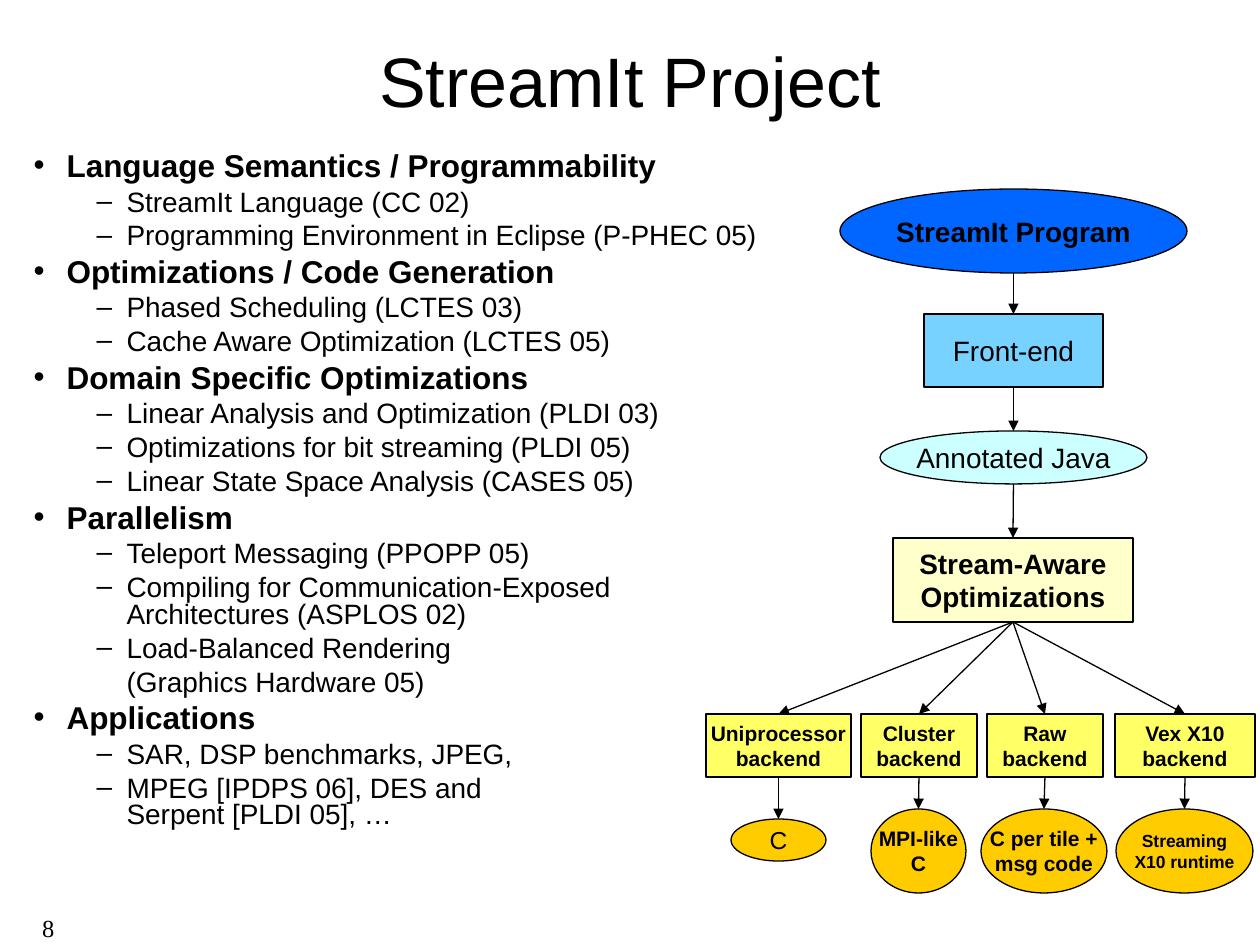
from copy import deepcopy
from dataclasses import dataclass

from lxml import etree
from pptx import Presentation
from pptx.dml.color import RGBColor
from pptx.enum import shapes, text
from pptx.oxml import ns
from pptx import util as u

EMU_PER_PX = 914400 / 126
FONT = "Arial"
BLACK = RGBColor(0x00, 0x00, 0x00)
BLUE = RGBColor(0x00, 0x66, 0xFF)
SKY = RGBColor(0x66, 0xCC, 0xFF)
ICE = RGBColor(0xCC, 0xFF, 0xFF)
CREAM = RGBColor(0xFF, 0xFF, 0xCC)
YELLOW = RGBColor(0xFF, 0xFF, 0x66)
ORANGE = RGBColor(0xFF, 0xCC, 0x00)
RECT = shapes.MSO_SHAPE.RECTANGLE
OVAL = shapes.MSO_SHAPE.OVAL
TOP, BOTTOM = 0, 2


@dataclass
class Node:
    label: str
    kind: shapes.MSO_SHAPE
    left: int
    top: int
    width: int
    height: int
    fill: RGBColor
    size: int
    bold: bool = True
    opacity: int = 100


@dataclass
class Level:
    bullet: str
    margin: int
    hang: int
    size: int
    bold: bool
    before: float


HEADING = Level("•", 33, 33, 18, True, 4.5)
ITEM = Level("–", 93, 30, 16, False, 4)
CONTINUED = Level("", 93, 0, 16, False, 4)

TOPICS = [
    (HEADING, "Language Semantics / Programmability"),
    (ITEM, "StreamIt Language (CC 02)"),
    (ITEM, "Programming Environment in Eclipse (P-PHEC 05)"),
    (HEADING, "Optimizations / Code Generation"),
    (ITEM, "Phased Scheduling (LCTES 03)"),
    (ITEM, "Cache Aware Optimization (LCTES 05)"),
    (HEADING, "Domain Specific Optimizations"),
    (ITEM, "Linear Analysis and Optimization (PLDI 03)"),
    (ITEM, "Optimizations for bit streaming (PLDI 05)"),
    (ITEM, "Linear State Space Analysis (CASES 05)"),
    (HEADING, "Parallelism"),
    (ITEM, "Teleport Messaging (PPOPP 05)"),
    (ITEM, "Compiling for Communication-Exposed Architectures (ASPLOS 02)"),
    (ITEM, "Load-Balanced Rendering"),
    (CONTINUED, "(Graphics Hardware 05)"),
    (HEADING, "Applications"),
    (ITEM, "SAR, DSP benchmarks, JPEG,"),
    (ITEM, "MPEG [IPDPS 06], DES and\vSerpent [PLDI 05], …"),
]

STAGES = [
    Node("StreamIt Program", OVAL, 840, 189, 347, 84, BLUE, 16),
    Node("Front-end", RECT, 924, 314, 179, 73, SKY, 16, False, 88),
    Node("Annotated Java", OVAL, 880, 431, 267, 53, ICE, 16, False),
    Node("Stream-Aware\nOptimizations", RECT, 893, 538, 240, 84, CREAM, 16),
]

# Each backend with the code it produces
TARGETS = [
    (Node("Uniprocessor\nbackend", RECT, 706, 714, 145, 63, YELLOW, 12),
     Node("C", OVAL, 731, 819, 95, 42, ORANGE, 14, False)),
    (Node("Cluster\nbackend", RECT, 861, 714, 116, 63, YELLOW, 12),
     Node("MPI-like\nC", OVAL, 871, 809, 95, 84, ORANGE, 12)),
    (Node("Raw\nbackend", RECT, 987, 714, 116, 63, YELLOW, 12),
     Node("C per tile +\nmsg code", OVAL, 981, 809, 126, 84, ORANGE, 12)),
    (Node("Vex X10\nbackend", RECT, 1115, 714, 140, 63, YELLOW, 12),
     Node("Streaming\nX10 runtime", OVAL, 1116, 809, 137, 84, ORANGE, 10)),
]


def px(length: float) -> u.Emu:
    return u.Emu(round(length * EMU_PER_PX))


def set_all(target, values: dict) -> None:
    for name, value in values.items():
        setattr(target, name, value)


def place(box, left: int, top: int, width: int, height: int) -> None:
    set_all(box, {"left": px(left), "top": px(top),
                  "width": px(width), "height": px(height)})


def style_spans(para, size: int, bold: bool = False, face: str = FONT) -> None:
    for span in para.runs:
        set_all(span.font, {"name": face, "size": u.Pt(size), "bold": bold})
        span.font.color.rgb = BLACK


def add_topic(para, level: Level, words: str, first: bool) -> None:
    para.text = words
    para.level = 0 if level is HEADING else 1
    set_all(para, {"line_spacing": 0.8,
                   "space_before": u.Pt(0 if first else level.before)})
    props = para._p.get_or_add_pPr()
    props.set("marL", str(px(level.margin)))
    props.set("indent", str(-px(level.hang)))
    if level.bullet:
        bullet = etree.SubElement(props, ns.qn("a:buChar"))
        bullet.set("char", level.bullet)
    else:
        etree.SubElement(props, ns.qn("a:buNone"))
    style_spans(para, level.size, level.bold)
    # Line breaks take the size of the text around them
    for line_break in para._p.findall(ns.qn("a:br")):
        line_break.append(deepcopy(para.runs[0]._r.rPr))


def add_node(page, node: Node):
    box = page.shapes.add_shape(node.kind, 0, 0, 0, 0)
    place(box, node.left, node.top, node.width, node.height)
    box.shadow.inherit = False
    box.fill.solid()
    box.fill.fore_color.rgb = node.fill
    if node.opacity < 100:
        color = box._element.spPr.find(".//" + ns.qn("a:srgbClr"))
        alpha = etree.SubElement(color, ns.qn("a:alpha"))
        alpha.set("val", str(node.opacity * 1000))
    box.line.color.rgb = BLACK
    box.line.width = u.Pt(0.75)
    frame = box.text_frame
    set_all(frame, {"text": node.label, "word_wrap": False,
                    "vertical_anchor": text.MSO_ANCHOR.MIDDLE})
    for para in frame.paragraphs:
        para.alignment = text.PP_ALIGN.CENTER
        style_spans(para, node.size, node.bold)
    return box


def add_arrow(page, source, target) -> None:
    line = page.shapes.add_connector(
        shapes.MSO_CONNECTOR.STRAIGHT,
        source.left + source.width // 2, source.top + source.height,
        target.left + target.width // 2, target.top)
    if source.auto_shape_type == RECT:
        line.begin_connect(source, BOTTOM)
    line.end_connect(target, TOP)
    line.line.color.rgb = BLACK
    line.line.width = u.Pt(0.75)
    head = etree.SubElement(line.line._get_or_add_ln(), ns.qn("a:tailEnd"))
    head.set("type", "triangle")
    etree.SubElement(line._element.spPr, ns.qn("a:effectLst"))


def main() -> None:
    deck = Presentation()
    set_all(deck, {"slide_width": px(1260), "slide_height": px(945)})
    page = deck.slides.add_slide(deck.slide_layouts[1])

    # Title
    title = page.shapes.title
    place(title, 63, 0, 1134, 158)
    title.text_frame.text = "StreamIt Project"
    style_spans(title.text_frame.paragraphs[0], 40)

    # Topic list
    body = page.placeholders[1]
    place(body, 21, 147, 769, 779)
    frame = body.text_frame
    frame.auto_size = text.MSO_AUTO_SIZE.NONE
    for index, (level, words) in enumerate(TOPICS):
        para = frame.add_paragraph() if index else frame.paragraphs[0]
        add_topic(para, level, words, index == 0)

    # Compiler flow
    stages = [add_node(page, node) for node in STAGES]
    for source, target in zip(stages, stages[1:]):
        add_arrow(page, source, target)
    for backend_node, output_node in TARGETS:
        backend = add_node(page, backend_node)
        output = add_node(page, output_node)
        add_arrow(page, stages[-1], backend)
        add_arrow(page, backend, output)

    # Page number
    number = page.shapes.add_textbox(px(0), px(907), px(59), px(38))
    set_all(number.text_frame, {"text": "8", "word_wrap": True,
                                "margin_left": px(42), "margin_right": 0})
    style_spans(number.text_frame.paragraphs[0], 14, face="Times New Roman")

    deck.save("out.pptx")


if __name__ == "__main__":
    main()
